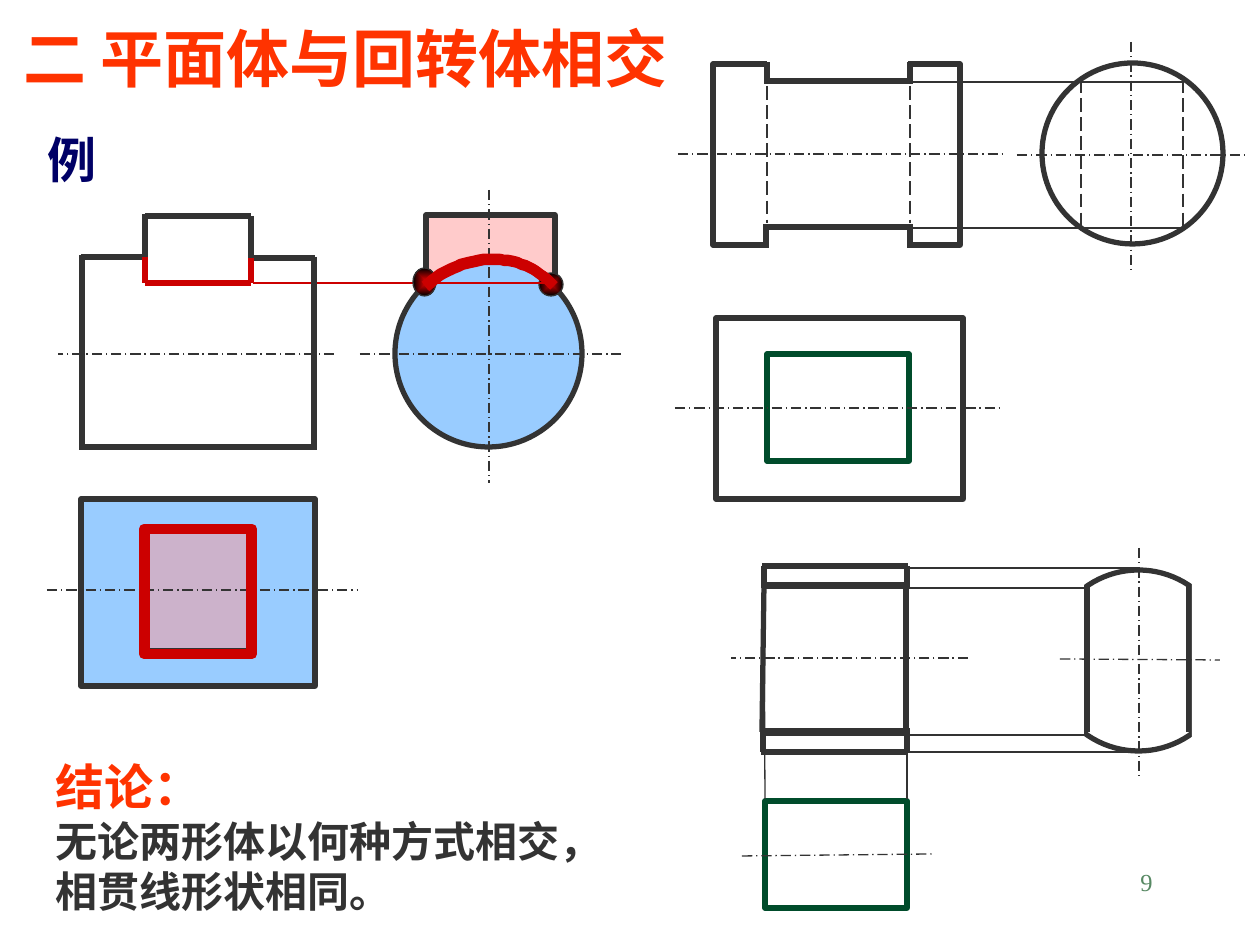
from lxml import etree
from pptx import Presentation
from pptx import util as u
from pptx.dml.color import RGBColor
from pptx.enum import dml, shapes, text
from pptx.oxml.ns import qn

PX = 914400 / 126  # EMU in one px
C = {"ink": "333333", "red": "CC0000", "white": "FFFFFF", "blue": "99CCFF",
     "pink": "FF9999", "green": "004C2B", "title": "FF3300", "navy": "000066",
     "page": "578963", "black": "000000"}
THIN, HIDDEN, THICK, HEAVY = 0.75, 1, 3, 6
AXIS, DASH = dml.MSO_LINE.LONG_DASH_DOT, dml.MSO_LINE.LONG_DASH
RECT, OVAL = shapes.MSO_SHAPE.RECTANGLE, shapes.MSO_SHAPE.OVAL
CJK, LATIN = "Noto Sans CJK SC", "Times New Roman"


def emu(*lengths):
    return [u.Emu(round(n * PX)) for n in lengths]


def rgb(name):
    return RGBColor.from_string(C[name])


def stroke(line, color, width, dash=None):
    line.color.rgb = rgb(color)
    line.width = u.Pt(width)
    if dash:
        line.dash_style = dash


def add_line(s, x1, y1, x2, y2, color="ink", width=THIN, dash=None):
    cx = s.shapes.add_connector(shapes.MSO_CONNECTOR.STRAIGHT, *emu(x1, y1, x2, y2))
    stroke(cx.line, color, width, dash)
    etree.SubElement(cx._element.spPr, qn("a:effectLst"))


def add_lines(s, ends, color="ink", width=THIN, dash=None):
    for end in ends:
        add_line(s, *end, color, width, dash)


def add_figure(s, kind, box, fill=None, color="ink", width=THICK, alpha=None):
    sp = s.shapes.add_shape(kind, *emu(*box))
    sp.shadow.inherit = False
    if fill:
        sp.fill.solid()
        sp.fill.fore_color.rgb = rgb(fill)
    else:
        sp.fill.background()
    if alpha:
        clr = sp._element.spPr.find(".//" + qn("a:srgbClr"))
        etree.SubElement(clr, qn("a:alpha"), val=str(alpha * 1000))
    if color:
        stroke(sp.line, color, width)
    else:
        sp.line.fill.background()
    return sp


def add_dot(s, box):
    """Meeting point, red in the centre and black at the rim."""
    sp = add_figure(s, OVAL, box, "red", width=THIN)
    sp.fill.gradient()
    for stop, name in zip(sp.fill.gradient_stops, ("red", "black")):
        stop.color.rgb = rgb(name)
    grad = sp._element.spPr.find(qn("a:gradFill"))
    grad.remove(grad.find(qn("a:lin")))
    path = etree.SubElement(grad, qn("a:path"), path="shape")
    etree.SubElement(path, qn("a:fillToRect"), **dict.fromkeys("ltrb", "50000"))


def add_arc(s, controls, color, width, steps=32):
    """Cubic curve through four control points."""
    def point(t):
        weights = ((1 - t) ** 3, 3 * t * (1 - t) ** 2, 3 * t * t * (1 - t), t ** 3)
        return tuple(sum(w * p[i] for w, p in zip(weights, controls)) for i in (0, 1))

    pts = [point(n / steps) for n in range(steps + 1)]
    fb = s.shapes.build_freeform(*pts[0], scale=PX)
    fb.add_line_segments(pts[1:], close=False)
    sp = fb.convert_to_shape()
    sp.shadow.inherit = False
    sp.fill.background()
    stroke(sp.line, color, width)


def add_text(s, box, rows, anchor=text.MSO_ANCHOR.TOP, align=None, wrap=True):
    """Each row is (words, size, colour, font, bold)."""
    tf = s.shapes.add_textbox(*emu(*box)).text_frame
    tf.word_wrap = wrap
    tf.vertical_anchor = anchor
    for n, (words, size, color, font, bold) in enumerate(rows):
        p = tf.add_paragraph() if n else tf.paragraphs[0]
        p.alignment = align
        r = p.add_run()
        r.text = words
        r.font.size, r.font.bold, r.font.name = u.Pt(size), bold, font
        r.font.color.rgb = rgb(color)
        etree.SubElement(r._r.get_or_add_rPr(), qn("a:ea"), typeface=CJK)


def slot_edges(s, dx, dy):
    """Opened top and bottom edges of a cylinder cut by a slot."""
    def shift(ends):
        return [(a + dx, b + dy, c + dx, d + dy) for a, b, c, d in ends]

    add_lines(s, shift([(907, 81, 767, 81), (908, 227, 767, 227)]), width=THICK)
    add_lines(s, shift([(765, 246, 910, 246), (767, 63, 908, 63)]), "white", HEAVY)
    add_lines(s, shift([(767, 84, 767, 62), (910, 84, 910, 62),
                        (766, 248, 766, 224), (910, 248, 910, 224)]), width=THICK)


def block_on_cylinder(s):
    # Side and top views
    add_figure(s, RECT, (426, 215, 129, 117), "pink", alpha=50)
    add_figure(s, RECT, (81, 499, 234, 187), "blue")
    add_figure(s, RECT, (145, 530, 106, 121), "pink", alpha=50)
    add_line(s, 47, 590, 357, 590, dash=AXIS)
    add_figure(s, OVAL, (395, 260, 187, 187), "blue")
    add_lines(s, [(360, 354, 621, 354), (489, 190, 489, 483),
                  (334, 354, 58, 354)], dash=AXIS)

    # Line of intersection
    add_dot(s, (539, 273, 24, 23))
    add_line(s, 552, 283, 253, 283, "red")
    add_line(s, 251, 283, 145, 283, "red", THICK)
    add_dot(s, (413, 268, 23, 28))
    for d in (0, 1):
        add_arc(s, [(554 - d, 286 - d), (522 - d, 251 - d),
                    (464 - d, 251 - d), (426 - d, 287 - d)], "red", HEAVY)
    add_lines(s, [(145, 527, 145, 655), (251, 528, 251, 655)], "red", HEAVY)
    add_figure(s, RECT, (144, 529, 108, 125), color="red", width=HEAVY)

    # Front view outline
    add_lines(s, [(81, 257, 144, 257), (252, 258, 315, 258), (82, 447, 317, 447),
                  (82, 255, 82, 450), (314, 257, 314, 450), (145, 216, 251, 216),
                  (145, 214, 145, 257), (251, 216, 251, 258)], width=THICK)
    add_lines(s, [(145, 283, 145, 257), (251, 283, 251, 258)], "red", THICK)


def cylinder_with_hole(s):
    # Top view
    add_figure(s, RECT, (716, 318, 247, 181), "white")
    add_figure(s, RECT, (767, 354, 142, 107), "white", "green")
    add_line(s, 675, 408, 999, 408, dash=AXIS)

    # Side view
    add_figure(s, OVAL, (1042, 63, 181, 181), "white")
    add_lines(s, [(1017, 155, 1245, 155), (1131, 42, 1131, 271)], dash=AXIS)
    add_lines(s, [(x, 79, x, 226) for x in (1183, 1081)], width=HIDDEN, dash=DASH)

    # Front view
    add_figure(s, RECT, (713, 64, 247, 181), "white")
    add_lines(s, [(x, 86, x, 223) for x in (767, 910)], width=HIDDEN, dash=DASH)
    add_line(s, 678, 154, 1003, 154, dash=AXIS)
    add_lines(s, [(906, 228, 1187, 228), (907, 82, 1182, 82)])
    slot_edges(s, 0, 0)


def common_part(s):
    # Top view
    add_figure(s, RECT, (765, 801, 142, 107), "white", "green")
    add_line(s, 742, 856, 932, 854, dash=AXIS)

    # Side view, circle trimmed on both sides
    add_figure(s, OVAL, (1048, 570, 181, 181), "white")
    add_line(s, 1139, 548, 1139, 776, dash=AXIS)
    add_lines(s, [(1189, 585, 1189, 732), (1087, 586, 1087, 732)], width=THICK)
    for box in ((1192, 561, 50, 190), (1034, 568, 50, 190)):
        add_figure(s, RECT, box, "white", None)
    add_line(s, 1060, 659, 1220, 660, dash=AXIS)

    # Projection lines
    add_lines(s, [(907, 799, 907, 570), (765, 799, 764, 567),
                  (1138, 568, 764, 568), (1138, 752, 764, 752),
                  (1086, 588, 764, 588), (1087, 735, 764, 735)])

    # Front view
    slot_edges(s, -3, 504)
    add_lines(s, [(908, 566, 762, 566), (907, 752, 761, 752),
                  (906, 731, 906, 585), (762, 732, 764, 585)], width=THICK)
    add_line(s, 968, 658, 731, 658, dash=AXIS)


def main():
    prs = Presentation()
    prs.slide_width, prs.slide_height = emu(1260, 945)
    s = prs.slides.add_slide(prs.slide_layouts[6])
    middle = text.MSO_ANCHOR.MIDDLE

    add_text(s, (903, 861, 262, 63), [("9", 14, "page", LATIN, False)],
             align=text.PP_ALIGN.RIGHT)
    add_text(s, (35, 123, 74, 72), [("例", 28, "navy", LATIN, True)], wrap=False)
    block_on_cylinder(s)
    add_text(s, (11, 13, 1194, 88),
             [("二 平面体与回转体相交", 36, "title", CJK, True)], middle)
    cylinder_with_hole(s)
    common_part(s)
    add_text(s, (43, 750, 688, 173),
             [("结论：", 28, "title", CJK, True),
              ("无论两形体以何种方式相交，", 24, "ink", CJK, True),
              ("相贯线形状相同。", 24, "ink", CJK, True)], middle)
    prs.save("out.pptx")


if __name__ == "__main__":
    main()
